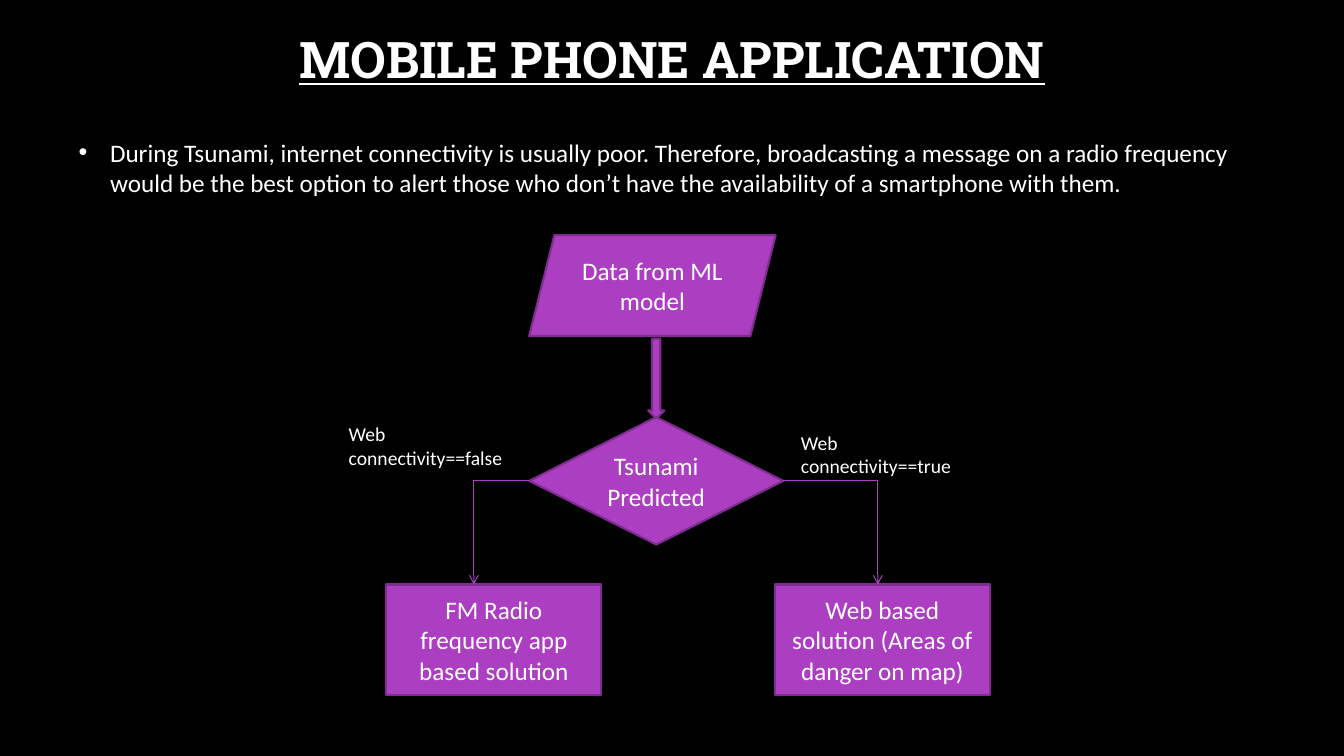
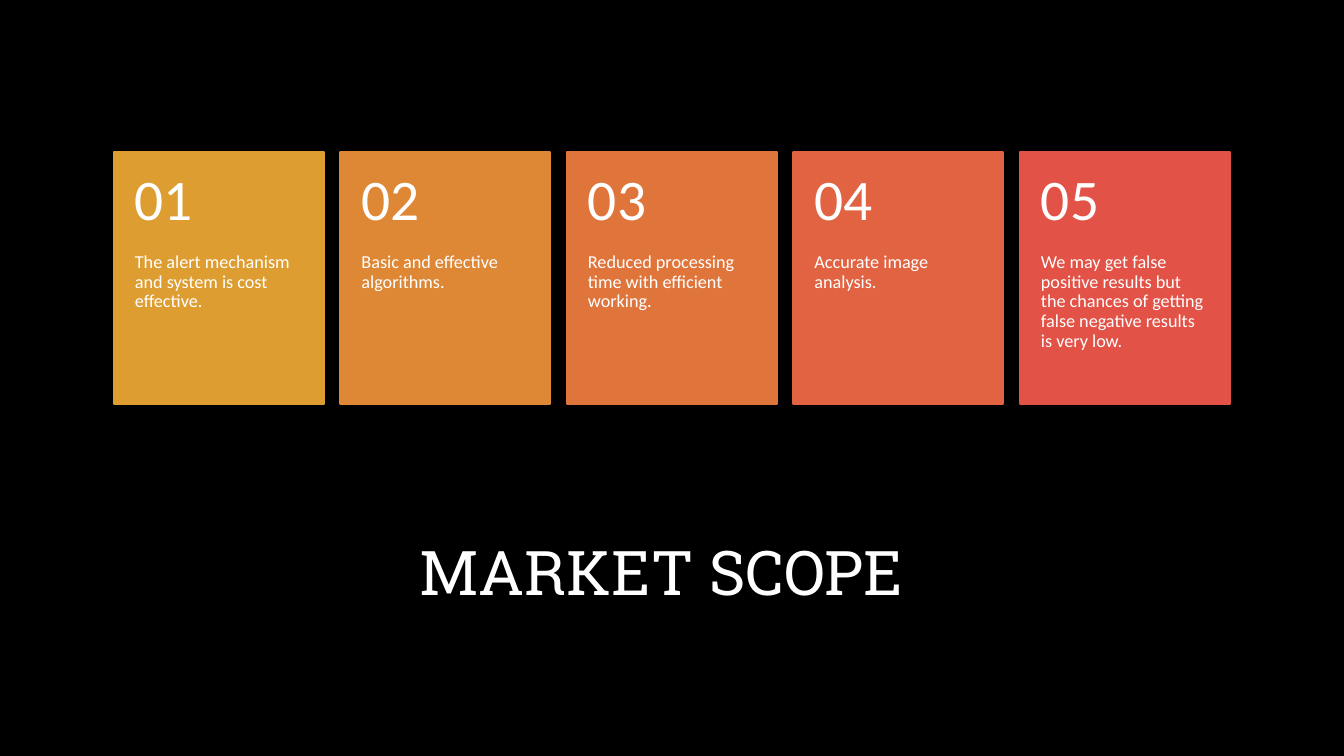
from lxml.etree import SubElement
from pptx import Presentation
from pptx.dml.color import RGBColor
from pptx.enum.shapes import MSO_CONNECTOR, MSO_SHAPE
from pptx.enum.text import MSO_ANCHOR, PP_ALIGN
from pptx.oxml.ns import qn
from pptx.util import Pt

# Shared look
WIDTH, HEIGHT = 960, 540
BLACK, WHITE = "000000", "FFFFFF"
PURPLE, PLUM = "AC3EC1", "7F2E8F"
HEAD, BODY = "Roboto Slab", "Calibri"
PAD = (7.2, 3.6, 7.2, 3.6)

# Flow chart content: (left, top, width, height) in points
INTRO = (
    "During Tsunami, internet connectivity is usually poor. Therefore, "
    "broadcasting a message on a radio frequency would be the best option to "
    "alert those who don’t have the availability of a smartphone with them."
)
STEPS = [
    (MSO_SHAPE.PARALLELOGRAM, (378, 168, 176, 72), "Data from ML model"),
    (MSO_SHAPE.DOWN_ARROW, (463, 242, 11.5, 57), ""),
    (MSO_SHAPE.DIAMOND, (378, 298, 181.5, 91), "Tsunami Predicted"),
    (MSO_SHAPE.RECTANGLE, (276, 417.5, 153.5, 79),
     "FM Radio frequency app based solution"),
    (MSO_SHAPE.RECTANGLE, (553.5, 417.5, 153.5, 79),
     "Web based solution (Areas of danger on map)"),
]
LABELS = [
    ((242, 298, 148, 41), "Web connectivity==false"),
    ((565, 304, 148, 41), "Web connectivity==true"),
]
BENDS = [(378, 338.5), (559.5, 627)]  # start x, end x
BEND_TOP, BEND_END = 343.5, 417.5

# Card content
CARDS = [
    ("DD9D31", "The alert mechanism and system is cost effective."),
    ("DE8836", "Basic and effective algorithms."),
    ("E0753C", "Reduced processing time with efficient working."),
    ("E16341", "Accurate image analysis."),
    ("E25247", "We may get false positive results but the chances of getting "
               "false negative results is very low."),
]
CARD_W, CARD_H, GAP, CARD_TOP, NUM_H = 150, 180, 11.8, 108.5, 72


def color(code):
    return RGBColor.from_string(code)


def write(shape, text, size, font=BODY, align=PP_ALIGN.LEFT,
          anchor=MSO_ANCHOR.MIDDLE, pad=PAD):
    frame = shape.text_frame
    frame.word_wrap = True
    frame.vertical_anchor = anchor
    (frame.margin_left, frame.margin_top,
     frame.margin_right, frame.margin_bottom) = map(Pt, pad)
    para = frame.paragraphs[0]
    para.text = text
    para.alignment = align
    para.font.size = Pt(size)
    para.font.name = font
    para.font.color.rgb = color(WHITE)
    return para


def add_text(slide, box, text, size, **style):
    return write(slide.shapes.add_textbox(*map(Pt, box)), text, size, **style)


def add_title(slide, box, text, size):
    return add_text(slide, box, text, size, font=HEAD, align=PP_ALIGN.CENTER)


def add_block(slide, kind, box, fill, edge):
    shape = slide.shapes.add_shape(kind, *map(Pt, box))
    shape.shadow.inherit = False
    shape.fill.solid()
    shape.fill.fore_color.rgb = color(fill)
    shape.line.color.rgb = color(edge)
    shape.line.width = Pt(1.5)
    return shape


def add_bend(slide, start, end):
    link = slide.shapes.add_connector(
        MSO_CONNECTOR.ELBOW, *map(Pt, (start, BEND_TOP, end, BEND_END)))
    link.line.color.rgb = color(PURPLE)
    link.line.width = Pt(0.75)
    props = link._element.spPr
    props.find(qn("a:prstGeom")).set("prst", "bentConnector2")
    SubElement(props.find(qn("a:ln")), qn("a:tailEnd"), type="arrow")
    SubElement(props, qn("a:effectLst"))


def add_bullet(para, indent):
    props = para._p.get_or_add_pPr()
    props.set("marL", str(Pt(indent)))
    props.set("indent", str(-Pt(indent)))
    SubElement(props, qn("a:buFont"), typeface="Arial")
    SubElement(props, qn("a:buChar"), char="•")


def new_slide(deck):
    slide = deck.slides.add_slide(deck.slide_layouts[6])
    slide.background.fill.solid()
    slide.background.fill.fore_color.rgb = color(BLACK)
    return slide


def flow_slide(deck):
    slide = new_slide(deck)
    title = add_title(slide, (183, 9.5, 594, 65), "MOBILE PHONE APPLICATION", 36)
    title.font.bold = True
    title.font.underline = True
    intro = add_text(slide, (49, 77, 857, 85), INTRO, 18)
    intro.space_after = Pt(10)
    add_bullet(intro, 22.5)
    for kind, box, text in STEPS:
        shape = add_block(slide, kind, box, PURPLE, PLUM)
        if text:
            write(shape, text, 18, align=PP_ALIGN.CENTER)
    for start, end in BENDS:
        add_bend(slide, start, end)
    for box, text in LABELS:
        add_text(slide, box, text, 14, anchor=MSO_ANCHOR.TOP)


def card_slide(deck):
    slide = new_slide(deck)
    add_title(slide, (73.5, 360, 798, 96), "MARKET SCOPE", 44)
    step = CARD_W + GAP
    first = (WIDTH - step * len(CARDS) + GAP) / 2
    for i, (fill, text) in enumerate(CARDS):
        left = first + i * step
        add_block(slide, MSO_SHAPE.RECTANGLE,
                  (left, CARD_TOP, CARD_W, CARD_H), fill, fill)
        note = add_text(
            slide, (left, CARD_TOP + NUM_H, CARD_W, CARD_H - NUM_H), text, 13,
            anchor=MSO_ANCHOR.TOP, pad=(15, 0, 15, 26))
        number = add_text(slide, (left, CARD_TOP, CARD_W, NUM_H),
                          f"{i + 1:02}", 41, pad=(15, 13, 15, 13))
        note.line_spacing = number.line_spacing = 0.9


def main():
    deck = Presentation()
    deck.slide_width, deck.slide_height = Pt(WIDTH), Pt(HEIGHT)
    flow_slide(deck)
    card_slide(deck)
    deck.save("out.pptx")


if __name__ == "__main__":
    main()
